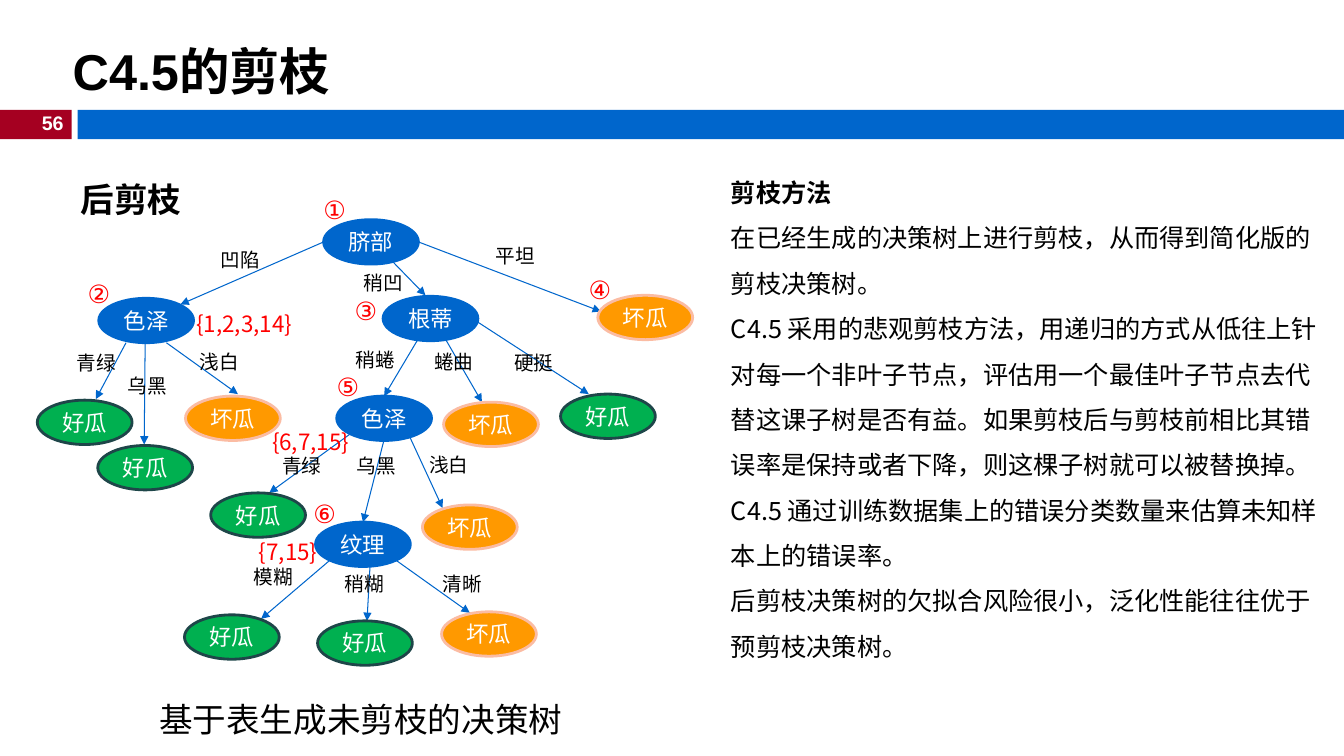
"""Build the slide on pruning a C4.5 decision tree."""
from dataclasses import dataclass
from typing import Optional

from lxml.etree import SubElement
from pptx import Presentation
from pptx.dml.color import RGBColor
from pptx.enum.shapes import MSO_CONNECTOR, MSO_SHAPE
from pptx.enum.text import MSO_ANCHOR as Anchor, MSO_AUTO_SIZE as AutoSize, PP_ALIGN as Align
from pptx.oxml.ns import qn
from pptx.shapes.base import BaseShape
from pptx.slide import Slide
from pptx.text.text import TextFrame
from pptx.util import Emu, Pt

PX = 9144
NODE_WIDTH, NODE_HEIGHT = 94, 44
BLACK = RGBColor(0x00, 0x00, 0x00)
WHITE = RGBColor(0xFF, 0xFF, 0xFF)
RED = RGBColor(0xFF, 0x00, 0x00)
CRIMSON = RGBColor(0xA5, 0x00, 0x21)
BLUE = RGBColor(0x00, 0x66, 0xCC)
GREEN = RGBColor(0x00, 0xB0, 0x50)
DARK_GREEN = RGBColor(0x1E, 0x46, 0x49)
ORANGE = RGBColor(0xFF, 0x99, 0x00)
PEACH = RGBColor(0xFB, 0xBC, 0xA3)
ARIAL, LATO, NOTO = "Arial", "Lato", "Noto Sans CJK SC"


@dataclass(frozen=True)
class Box:
    left: int
    top: int
    width: int
    height: int


@dataclass(frozen=True)
class Style:
    size: int
    color: RGBColor = BLACK
    font: str = ARIAL
    bold: bool = False
    align: Align = Align.LEFT
    spacing: Optional[float] = None


@dataclass(frozen=True)
class Label:
    text: str
    box: Box
    style: Style


@dataclass(frozen=True)
class Node:
    text: str
    left: int
    top: int
    fill: RGBColor = BLUE
    outline: RGBColor = BLUE


@dataclass(frozen=True)
class Branch:
    value: str
    start: tuple[int, int]
    end: tuple[int, int]
    label: tuple[int, int]


def good(left: int, top: int) -> Node:
    return Node("好瓜", left, top, GREEN, DARK_GREEN)


def bad(left: int, top: int) -> Node:
    return Node("坏瓜", left, top, ORANGE, PEACH)


NODES = [
    Node("脐部", 321, 218), Node("色泽", 98, 296), Node("根蒂", 380, 294),
    Node("色泽", 334, 393), Node("纹理", 313, 518),
    good(37, 397), good(97, 442), good(556, 391), good(209, 489), good(183, 610), good(315, 616),
    bad(593, 293), bad(184, 393), bad(440, 399), bad(419, 501), bad(438, 607),
]
BRANCHES = [
    Branch("凹陷", (321, 240), (179, 302), (209, 241)),
    Branch("稍凹", (352, 221), (422, 293), (351, 264)),
    Branch("平坦", (415, 240), (596, 309), (482, 237)),
    Branch("青绿", (125, 340), (95, 396), (66, 343)),
    Branch("乌黑", (144, 340), (143, 441), (117, 366)),
    Branch("浅白", (165, 340), (236, 391), (188, 342)),
    Branch("稍蜷", (437, 299), (381, 393), (343, 340)),
    Branch("蜷曲", (441, 335), (478, 399), (421, 342)),
    Branch("硬挺", (473, 319), (584, 391), (500, 343)),
    Branch("青绿", (348, 430), (267, 489), (270, 445)),
    Branch("乌黑", (381, 436), (360, 518), (344, 445)),
    Branch("浅白", (403, 426), (439, 504), (416, 444)),
    Branch("模糊", (327, 556), (259, 614), (242, 556)),
    Branch("稍糊", (367, 562), (364, 616), (332, 562)),
    Branch("清晰", (393, 556), (466, 608), (429, 562)),
]
NODE_NUMBERS = {
    "①": (311, 188), "②": (77, 271), "③": (342, 288),
    "④": (574, 267), "⑤": (324, 363), "⑥": (301, 489),
}
SAMPLE_SETS = {"{1,2,3,14}": (185, 303), "{6,7,15}": (260, 420), "{7,15}": (247, 529)}
BARS = [(Box(0, 109, 71, 29), CRIMSON), (Box(77, 109, 1256, 29), BLUE)]
CAPTIONS = [
    Label("56", Box(29, 105, 44, 34), Style(14, WHITE, bold=True, align=Align.RIGHT)),
    Label("后剪枝", Box(70, 153, 125, 64), Style(24, font=LATO, bold=True, spacing=1.5)),
    Label("基于表生成未剪枝的决策树", Box(148, 688, 667, 50), Style(24)),
]
METHOD_HEADING = "剪枝方法"
METHOD_TEXT = [
    "在已经生成的决策树上进行剪枝，从而得到简化版的剪枝决策树。",
    "C4.5 采用的悲观剪枝方法，用递归的方式从低往上针对每一个非叶子节点，评估用一个最佳叶子节点去"
    "代替这课子树是否有益。如果剪枝后与剪枝前相比其错误率是保持或者下降，则这棵子树就可以被替换掉。"
    "C4.5 通过训练数据集上的错误分类数量来估算未知样本上的错误率。",
    "后剪枝决策树的欠拟合风险很小，泛化性能往往优于预剪枝决策树。",
]


def place(shape: BaseShape, box: Box) -> None:
    shape.left, shape.top = Emu(box.left * PX), Emu(box.top * PX)
    shape.width, shape.height = Emu(box.width * PX), Emu(box.height * PX)


def write(frame: TextFrame, lines: list[tuple[str, Style]], anchor: Anchor = Anchor.TOP) -> None:
    frame.word_wrap = True
    frame.auto_size = AutoSize.NONE
    frame.vertical_anchor = anchor
    for index, (text, style) in enumerate(lines):
        paragraph = frame.paragraphs[0] if index == 0 else frame.add_paragraph()
        paragraph.text = text
        paragraph.alignment = style.align
        paragraph.space_before = Pt(0)
        if style.spacing:
            paragraph.line_spacing = style.spacing
        font = paragraph.font
        font.name, font.size, font.bold = style.font, Pt(style.size), style.bold
        font.color.rgb = style.color


def add_label(slide: Slide, label: Label) -> None:
    shape = slide.shapes.add_textbox(0, 0, 0, 0)
    place(shape, label.box)
    write(shape.text_frame, [(label.text, label.style)])


def add_filled(slide: Slide, kind: MSO_SHAPE, box: Box, fill: RGBColor) -> BaseShape:
    shape = slide.shapes.add_shape(kind, 0, 0, 0, 0)
    place(shape, box)
    shape.shadow.inherit = False
    shape.fill.solid()
    shape.fill.fore_color.rgb = fill
    shape.line.fill.background()
    return shape


def add_node(slide: Slide, node: Node) -> None:
    box = Box(node.left, node.top, NODE_WIDTH, NODE_HEIGHT)
    shape = add_filled(slide, MSO_SHAPE.OVAL, box, node.fill)
    shape.line.color.rgb = node.outline
    shape.line.width = Pt(2)
    frame = shape.text_frame
    frame.margin_left = frame.margin_right = frame.margin_top = frame.margin_bottom = 0
    write(frame, [(node.text, Style(16, WHITE, align=Align.CENTER))], Anchor.MIDDLE)


def add_arrow(slide: Slide, branch: Branch) -> None:
    ends = [Emu(value * PX) for value in branch.start + branch.end]
    arrow = slide.shapes.add_connector(MSO_CONNECTOR.STRAIGHT, *ends)
    arrow.line.color.rgb = BLUE
    arrow.line.width = Pt(0.75)
    SubElement(arrow.line._get_or_add_ln(), qn("a:tailEnd"), type="triangle")
    SubElement(arrow._element.spPr, qn("a:effectLst"))


def add_method(slide: Slide) -> None:
    body = slide.placeholders[1]
    place(body, Box(715, 156, 605, 510))
    for _ in METHOD_TEXT:
        body.text_frame.add_paragraph()
    heading = Style(18, font=NOTO, bold=True, spacing=1.5)
    plain = Style(18, font=NOTO, spacing=1.5)
    body.text_frame.clear()
    write(body.text_frame, [(METHOD_HEADING, heading)] + [(text, plain) for text in METHOD_TEXT])
    for paragraph in body.text_frame.paragraphs:
        properties = paragraph._p.get_or_add_pPr()
        properties.set("marL", "0")
        properties.set("indent", "0")
        properties.find(qn("a:defRPr")).addprevious(SubElement(properties, qn("a:buNone")))


def main() -> None:
    presentation = Presentation()
    presentation.slide_width, presentation.slide_height = Emu(1333 * PX), Emu(750 * PX)
    slide = presentation.slides.add_slide(presentation.slide_layouts[1])
    place(slide.shapes.title, Box(62, 32, 776, 75))
    write(slide.shapes.title.text_frame, [("C4.5的剪枝", Style(36, bold=True))], Anchor.MIDDLE)
    add_method(slide)
    for box, fill in BARS:
        add_filled(slide, MSO_SHAPE.RECTANGLE, box, fill)
    for branch in BRANCHES:
        add_arrow(slide, branch)
    for node in NODES:
        add_node(slide, node)
    labels = CAPTIONS + [Label(b.value, Box(*b.label, 70, 34), Style(14)) for b in BRANCHES]
    labels += [Label(text, Box(*at, 70, 40), Style(18, RED)) for text, at in NODE_NUMBERS.items()]
    labels += [Label(text, Box(*at, 192, 37), Style(16, RED, NOTO)) for text, at in SAMPLE_SETS.items()]
    for label in labels:
        add_label(slide, label)
    presentation.save("out.pptx")


if __name__ == "__main__":
    main()
